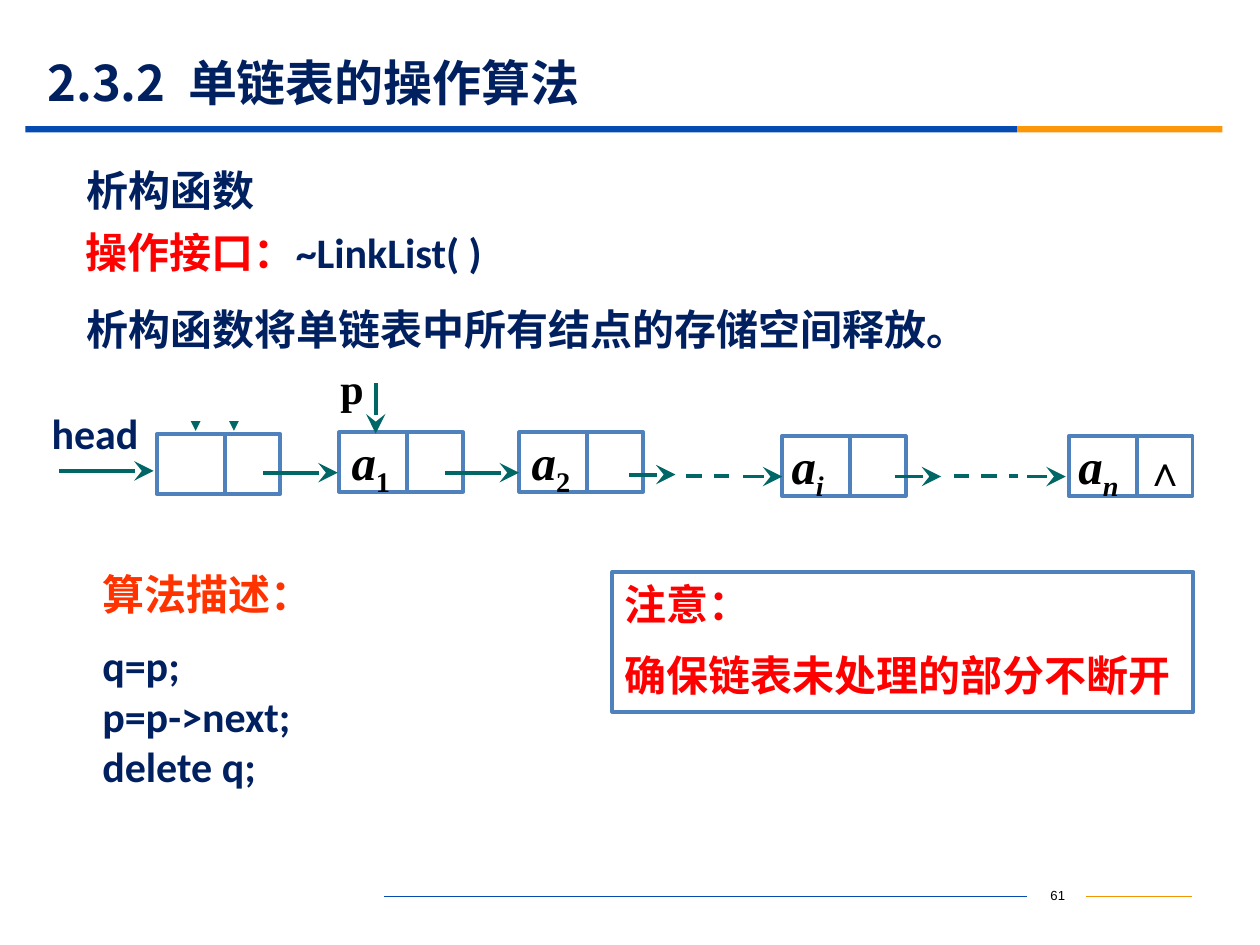
from dataclasses import dataclass

from lxml.etree import SubElement
from pptx import Presentation
from pptx.dml.color import RGBColor as RGB
from pptx.enum.dml import MSO_LINE as Dash
from pptx.enum.shapes import MSO_CONNECTOR as Conn, MSO_SHAPE as Shape
from pptx.enum.text import MSO_ANCHOR as Anchor, PP_ALIGN as Align
from pptx.oxml.ns import qn
from pptx.util import Pt


@dataclass(frozen=True)
class Theme:
    navy: str = "002060"
    blue: str = "064BB2"
    gold: str = "FB9708"
    amber: str = "F19500"
    edge: str = "4F81BD"
    teal: str = "006666"
    red: str = "FF0000"
    coral: str = "FF3300"
    black: str = "000000"
    white: str = "FFFFFF"
    head: int = 28
    body: int = 24
    foot: float = 7.5
    cjk: str = "Noto Sans CJK SC"
    latin: str = "Calibri"
    serif: str = "Times New Roman"
    mono: str = "Courier New"
    sans: str = "Arial"


T = Theme()
PAD = (7.2, 3.6, 7.2, 3.6)
BARE = (0, 0, 0, 0)


def style(font, face, color, size=T.body, bold=True):
    font.name, font.size, font.bold = face, Pt(size), bold
    font.color.rgb = RGB.from_string(color)


def add_run(para, text, face=None, color=None):
    run = para.add_run()
    run.text = text
    if face:
        run.font.name = face
        run.font.color.rgb = RGB.from_string(color)
    if not text.isascii():
        ea = SubElement(run.font._element, qn("a:ea"))
        ea.set("typeface", T.cjk)
    return run


def set_frame(shape, pad=PAD, anchor=Anchor.TOP):
    frame = shape.text_frame
    frame.word_wrap = True
    frame.vertical_anchor = anchor
    (frame.margin_left, frame.margin_top,
     frame.margin_right, frame.margin_bottom) = map(Pt, pad)
    return frame


def fill_text(frame, rows, align=Align.LEFT, size=T.body, bold=True):
    for i, (text, face, color, gap) in enumerate(rows):
        para = frame.add_paragraph() if i else frame.paragraphs[0]
        para.alignment = align
        para.space_before = Pt(gap)
        style(para.font, face, color, size, bold)
        add_run(para, text)


def add_text(slide, box, rows, pad=PAD, anchor=Anchor.TOP, **look):
    shape = slide.shapes.add_textbox(*map(Pt, box))
    fill_text(set_frame(shape, pad, anchor), rows, **look)


def add_rect(slide, box, fill=None, edge=None):
    shape = slide.shapes.add_shape(Shape.RECTANGLE, *map(Pt, box))
    shape.shadow.inherit = False
    if fill:
        shape.fill.solid()
        shape.fill.fore_color.rgb = RGB.from_string(fill)
    else:
        shape.fill.background()
    if edge:
        shape.line.color.rgb = RGB.from_string(edge)
        shape.line.width = Pt(2.25)
    else:
        shape.line.fill.background()
    return shape


def add_line(slide, ends, color, width=2.25, dash=False, arrow=False):
    line = slide.shapes.add_connector(Conn.STRAIGHT, *map(Pt, ends))
    line.line.color.rgb = RGB.from_string(color)
    line.line.width = Pt(width)
    if dash:
        line.line.dash_style = Dash.DASH
    if arrow:
        tail = SubElement(line.line._get_or_add_ln(), qn("a:tailEnd"))
        for key, val in (("type", "stealth"), ("w", "lg"), ("len", "lg")):
            tail.set(key, val)
    SubElement(line._element.spPr, qn("a:effectLst"))


def add_node(slide, left, top, sub=None, inset=7.2):
    wide, high, split = 70.8, 34, 39
    node = add_rect(slide, (left, top, wide, high), edge=T.edge)
    add_line(slide, (left + split, top, left + split, top + high), T.edge)
    if sub:
        frame = set_frame(node, (inset, 0, 0, 5.8))
        para = frame.paragraphs[0]
        para.alignment = Align.LEFT
        para.line_spacing = 0.9
        style(para.font, T.serif, T.black, T.head)
        add_run(para, "a").font.italic = True
        low = add_run(para, sub)
        low.font.italic = not sub.isdigit()
        low.font._element.set("baseline", "-25000")


def add_frame(slide):
    add_text(slide, (587.6, 503.3, 33.8, 18),
             [("61", T.sans, T.black, 0)],
             align=Align.CENTER, size=T.foot, bold=False)
    add_line(slide, (620.6, 512.4, 681, 512.4), T.amber, 0.75)
    add_line(slide, (219.6, 512.4, 586.8, 512.4), T.blue, 0.75)
    add_rect(slide, (14.6, 72, 566.6, 3.6), T.blue)
    add_rect(slide, (581.2, 72, 117.4, 3.6), T.gold)
    add_text(slide, (20, 31.5, 648, 31),
             [("2.3.2  单链表的操作算法", T.cjk, T.navy, 0)],
             anchor=Anchor.MIDDLE, size=T.head)


def add_intro(slide):
    add_text(slide, (42.1, 85.4, 466.6, 46),
             [("析构函数", T.cjk, T.navy, 0)], anchor=Anchor.MIDDLE)
    shape = slide.shapes.add_textbox(Pt(49), Pt(129), Pt(496.8), Pt(37.4))
    para = set_frame(shape, (0, 3.6, 0, 3.6)).paragraphs[0]
    para.line_spacing = 0.9
    para.space_before = Pt(4.8)
    para.font.size, para.font.bold = Pt(T.body), True
    add_run(para, "操作接口", T.serif, T.red)
    add_run(para, "：", T.mono, T.red)
    add_run(para, "~LinkList( )", T.latin, T.navy)
    add_text(slide, (42.5, 170, 635.8, 36),
             [("析构函数将单链表中所有结点的存储空间释放。", T.cjk, T.navy, 0)])


def add_list(slide):
    add_text(slide, (29.5, 232.8, 59.8, 36.7),
             [("head", T.latin, T.navy, 0)], pad=(0, 0, 0, 2.9))
    add_node(slide, 89.5, 248.2)
    for left, top, sub, inset in ((193.8, 247, "1", 7.2),
                                  (296.7, 247, "2", 7.2),
                                  (446.7, 249.3, "i", 5.6),
                                  (610.7, 249.3, "n", 5.6)):
        add_node(slide, left, top, sub, inset)
    add_text(slide, (647, 250.6, 35.3, 36),
             [("∧", T.serif, T.black, 0)], align=Align.CENTER)
    for start, end, y in ((33.8, 87.8, 269.1), (150.5, 193, 270.1),
                          (254.2, 296.6, 270.1), (359.3, 386, 271.2),
                          (424.8, 447, 272.3), (511.2, 537.8, 272.3),
                          (586.8, 609, 272.3)):
        add_line(slide, (start, y, end, y), T.teal, arrow=True)
    for start, end in ((392.2, 418.3), (545, 581.8)):
        add_line(slide, (start, 272.2, end, 272.2), T.teal, dash=True)
    for x, y in ((111.8, 217.4), (133.7, 217.4), (214.7, 218.9)):
        add_line(slide, (x, y, x, y + 28.8), T.teal, arrow=True)
    add_text(slide, (194.6, 207.4, 19.4, 28.8),
             [("p", T.serif, T.black, 0)], pad=BARE)
    for left in (83.5, 123.8):
        add_rect(slide, (left, 211.7, 36, 28.8), T.white)


def add_notes(slide):
    add_text(slide, (51.4, 321.3, 240.5, 138.2),
             [("算法描述：", T.serif, T.coral, 0),
              ("q=p;", T.latin, T.navy, 12),
              ("p=p->next;", T.latin, T.navy, 0),
              ("delete q;", T.latin, T.navy, 0)])
    note = add_rect(slide, (350, 326.8, 332, 80), edge=T.edge)
    fill_text(set_frame(note),
              [("注意：", T.cjk, T.red, 0),
               ("确保链表未处理的部分不断开", T.cjk, T.red, 12)])


def main():
    deck = Presentation()
    deck.slide_width, deck.slide_height = Pt(720), Pt(540)
    slide = deck.slides.add_slide(deck.slide_layouts[6])
    add_frame(slide)
    add_intro(slide)
    add_list(slide)
    add_notes(slide)
    deck.save("out.pptx")


if __name__ == "__main__":
    main()
